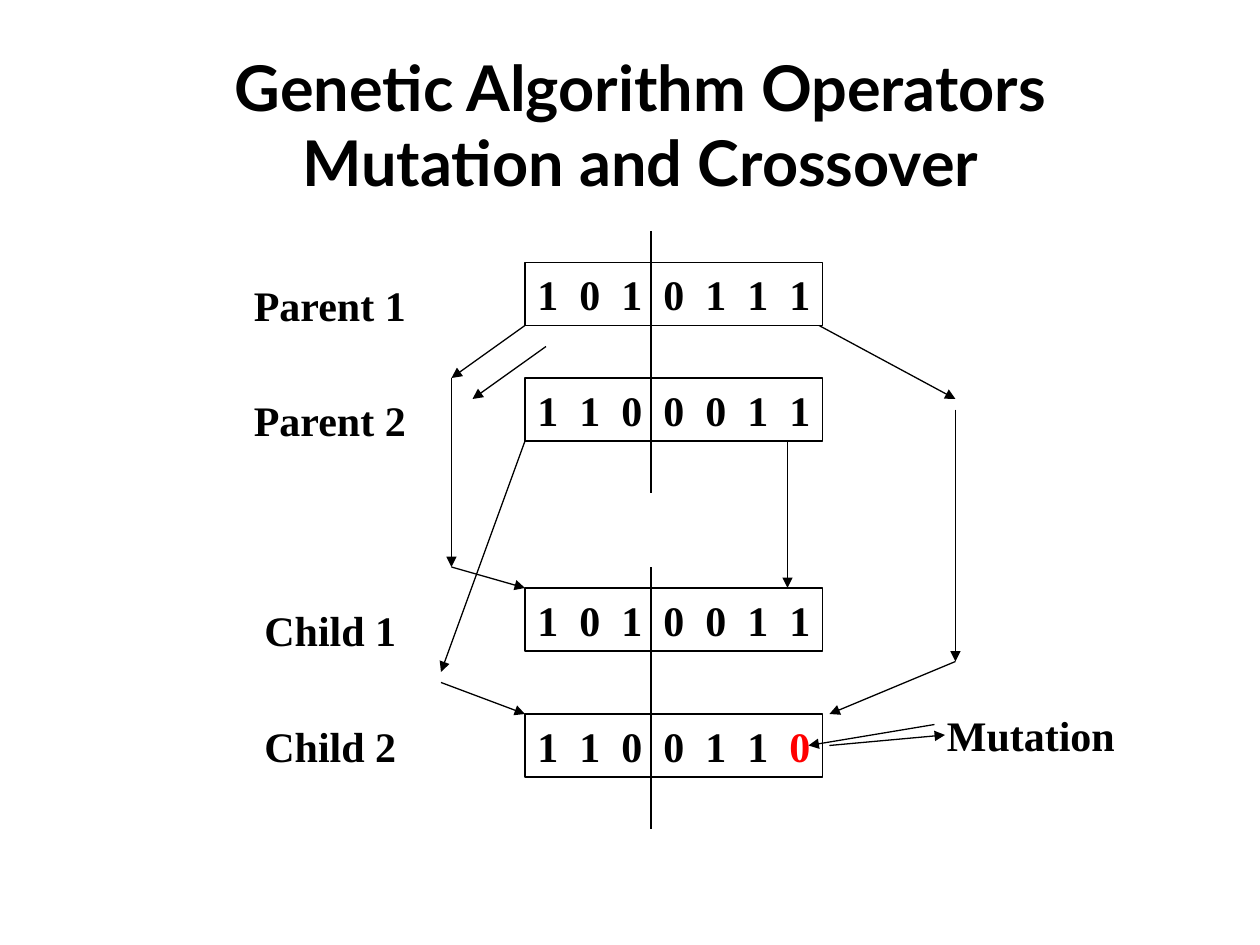
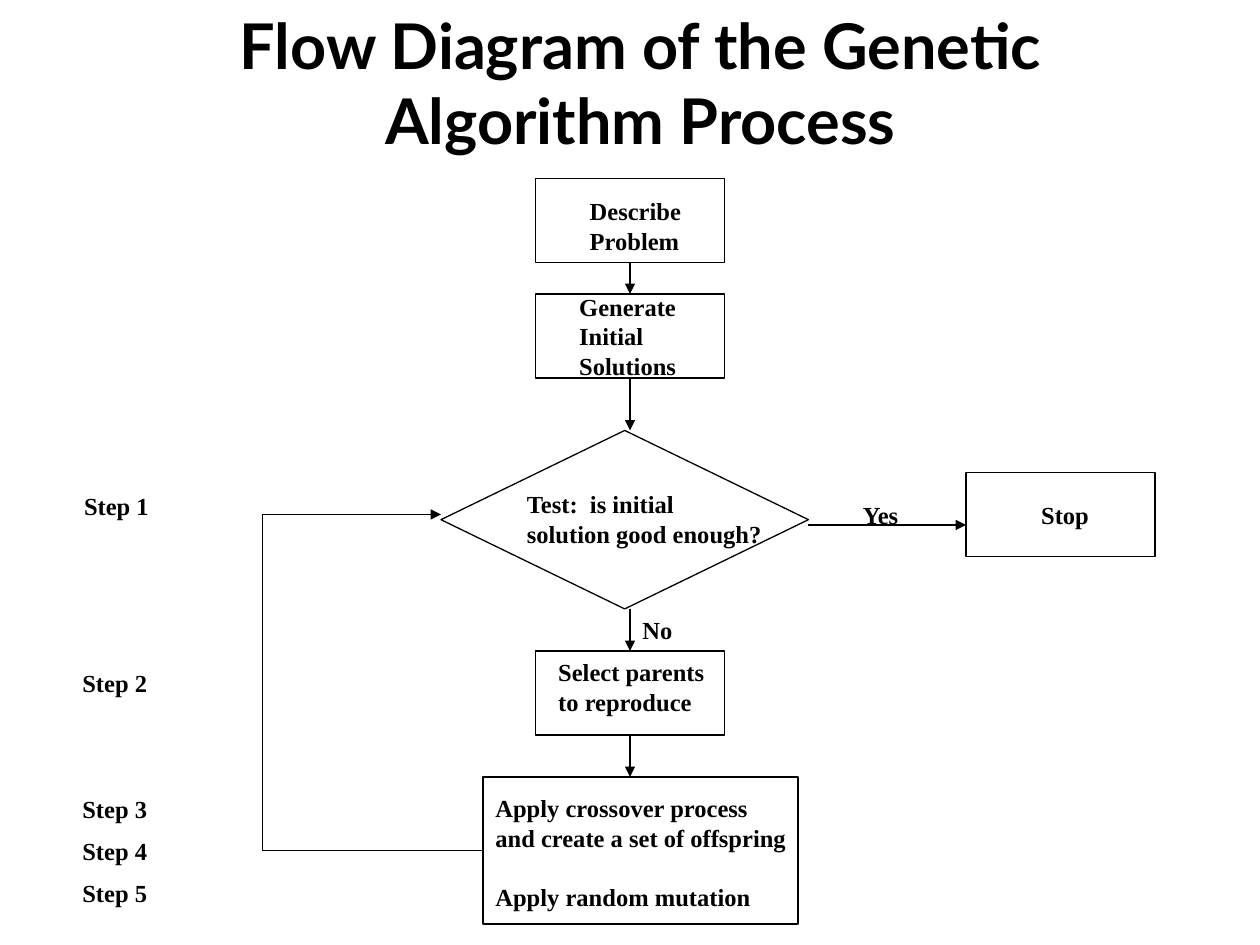
from dataclasses import dataclass
from itertools import pairwise
from typing import Any

from lxml import etree
from pptx import Presentation
from pptx.dml.color import RGBColor
from pptx.enum import shapes, text
from pptx.oxml.ns import qn
from pptx.util import Pt

COLORS = {"ink": "000000", "mutated": "FF0000", "paper": "FFFFFF"}
TITLE_FONT, BODY_FONT = "Lato", "Times New Roman"
LINE_WIDTH = 0.75
GENE_PITCH = 24
RECT = shapes.MSO_SHAPE.RECTANGLE
TOP, MIDDLE = text.MSO_ANCHOR.TOP, text.MSO_ANCHOR.MIDDLE


def rgb(name):
    return RGBColor.from_string(COLORS[name])


def set_font(p, name, size):
    p.font.name, p.font.size, p.font.bold = name, Pt(size), True
    p.font.color.rgb = rgb("ink")


def fill_text(tf, lines, size, anchor, left=7.2, top=3.6, bottom=3.6):
    tf.word_wrap = True
    tf.vertical_anchor = anchor
    tf.margin_left, tf.margin_right = Pt(left), 0
    tf.margin_top, tf.margin_bottom = Pt(top), Pt(bottom)
    tf.text = "\n".join(lines)
    for p in tf.paragraphs:
        p.alignment = text.PP_ALIGN.LEFT
        set_font(p, BODY_FONT, size)


@dataclass
class Region:
    """Draws on a slide with points measured from the region's corner."""
    s: Any
    x: float
    y: float

    def at(self, x, y):
        return Pt(self.x + x), Pt(self.y + y)

    def label(self, x, y, w, h, size, *lines):
        sp = self.s.shapes.add_textbox(*self.at(x, y), Pt(w), Pt(h))
        fill_text(sp.text_frame, lines, size, TOP)

    def outline(self, x, y, w, h, kind=RECT):
        sp = self.s.shapes.add_shape(kind, *self.at(x, y), Pt(w), Pt(h))
        sp.shadow.inherit = False
        sp.fill.background()
        sp.line.color.rgb = rgb("ink")
        sp.line.width = Pt(LINE_WIDTH)
        return sp

    def line(self, start, end, arrow=True):
        c = self.s.shapes.add_connector(
            shapes.MSO_CONNECTOR.STRAIGHT, *self.at(*start), *self.at(*end))
        c.line.color.rgb = rgb("ink")
        c.line.width = Pt(LINE_WIDTH)
        if arrow:
            etree.SubElement(c.line._get_or_add_ln(), qn("a:tailEnd"), type="triangle")
        etree.SubElement(c._element.spPr, qn("a:effectLst"))

    def arrows(self, *points):
        """Joins successive points, each with its own arrow."""
        for start, end in pairwise(points):
            self.line(start, end)


def add_slide(prs, title, top):
    s = prs.slides.add_slide(prs.slide_layouts[5])
    s.background.fill.solid()
    s.background.fill.fore_color.rgb = rgb("paper")
    sp = s.shapes.title
    sp.left, sp.top, sp.width, sp.height = Pt(90), Pt(top), Pt(552), Pt(94)
    tf = sp.text_frame
    tf.text = title
    tf.word_wrap = True
    tf.auto_size = text.MSO_AUTO_SIZE.NONE
    tf.vertical_anchor = TOP
    for p in tf.paragraphs:
        p.alignment = text.PP_ALIGN.CENTER
        set_font(p, TITLE_FONT, 36)
    return s


def add_chromosome(region, y, genes, mutated=False):
    sp = region.outline(162, y, 170, 36)
    tf = sp.text_frame
    fill_text(tf, ["\t".join(genes[:-1]) + "\t"], 24, MIDDLE)
    p = tf.paragraphs[0]
    pPr = p._p.get_or_add_pPr()
    tabs = etree.Element(qn("a:tabLst"))
    for i in range(1, len(genes)):
        etree.SubElement(tabs, qn("a:tab"), pos=str(Pt(GENE_PITCH * i)), algn="l")
    pPr.insert(0, tabs)
    r = p.add_run()
    r.text = genes[-1]
    if mutated:
        r.font.color.rgb = rgb("mutated")


def crossover_diagram(region):
    for name, x, label_y, y, genes in (
        ("Parent 1", 0, 24, 18, "1010111"),
        ("Parent 2", 0, 90, 84, "1100011"),
        ("Child 1", 6, 210, 204, "1010011"),
        ("Child 2", 6, 276, 276, "1100110"),
    ):
        region.label(x, label_y, 102, 36, 24, name)
        add_chromosome(region, y, genes, mutated=name == "Child 2")
    for y in (0, 192):
        region.line((234, y), (234, y + 150), arrow=False)
    for route in (
        [(162, 54), (120, 84), (120, 192), (162, 204)],
        [(174, 66), (132, 96)],
        [(162, 120), (114, 252)],
        [(114, 258), (162, 276)],
        [(330, 54), (408, 96)],
        [(408, 102), (408, 246), (336, 276)],
        [(312, 120), (312, 204)],
        [(396, 282), (324, 294)],
        [(336, 294), (402, 288)],
    ):
        region.arrows(*route)
    region.label(396, 270, 110, 36, 24, "Mutation")


def add_process(region, x, y, lines, left, shift=0, w=108, h=48):
    """Adds a process box; shift moves its text down from the middle."""
    sp = region.outline(x, y, w, h)
    fill_text(sp.text_frame, lines, 14, MIDDLE, left,
              top=max(2 * shift, 0), bottom=max(-2 * shift, 0))
    return sp


def flow_diagram(region):
    add_process(region, 270, 0, ["Describe", "Problem"], 31, 3)
    add_process(region, 270, 66, ["Generate", "Initial", "Solutions"], 25)
    add_process(region, 516, 168, ["Stop"], 43)
    add_process(region, 270, 270, ["Select parents", "to reproduce"], 13, -3.5)
    breed = add_process(
        region, 240, 342,
        ["Apply crossover process", "and create a set of offspring", "Apply random mutation"],
        7.2, 1, 180, 84)
    breed.text_frame.paragraphs[-1].space_before = Pt(17)

    region.outline(216, 144, 210, 102, shapes.MSO_SHAPE.FLOWCHART_DECISION)
    region.label(258, 174, 177, 41, 14, "Test:  is initial", "solution good enough?")

    for start, end in ((48, 66), (114, 144), (246, 270), (318, 342)):
        region.line((324, start), (324, end))
    region.line((426, 198), (516, 198))
    region.label(450, 180, 36, 24, 14, "Yes")
    region.label(324, 246, 32, 24, 14, "No")

    loop = [(240, 384), (114, 384), (114, 192), (216, 192)]
    for start, end in pairwise(loop):
        region.line(start, end, arrow=end == loop[-1])

    for number, y in enumerate((175, 276, 348, 372, 396), 1):
        region.label(5 if number == 1 else 4, y, 52, 24, 14, f"Step {number}")


def main():
    prs = Presentation()
    prs.slide_width, prs.slide_height = Pt(720), Pt(540)
    s = add_slide(prs, "Genetic Algorithm Operators\nMutation and Crossover", 24)
    crossover_diagram(Region(s, 138, 132))
    s = add_slide(prs, "Flow Diagram of the Genetic Algorithm Process", 0)
    flow_diagram(Region(s, 36, 102))
    prs.save("out.pptx")


if __name__ == "__main__":
    main()
